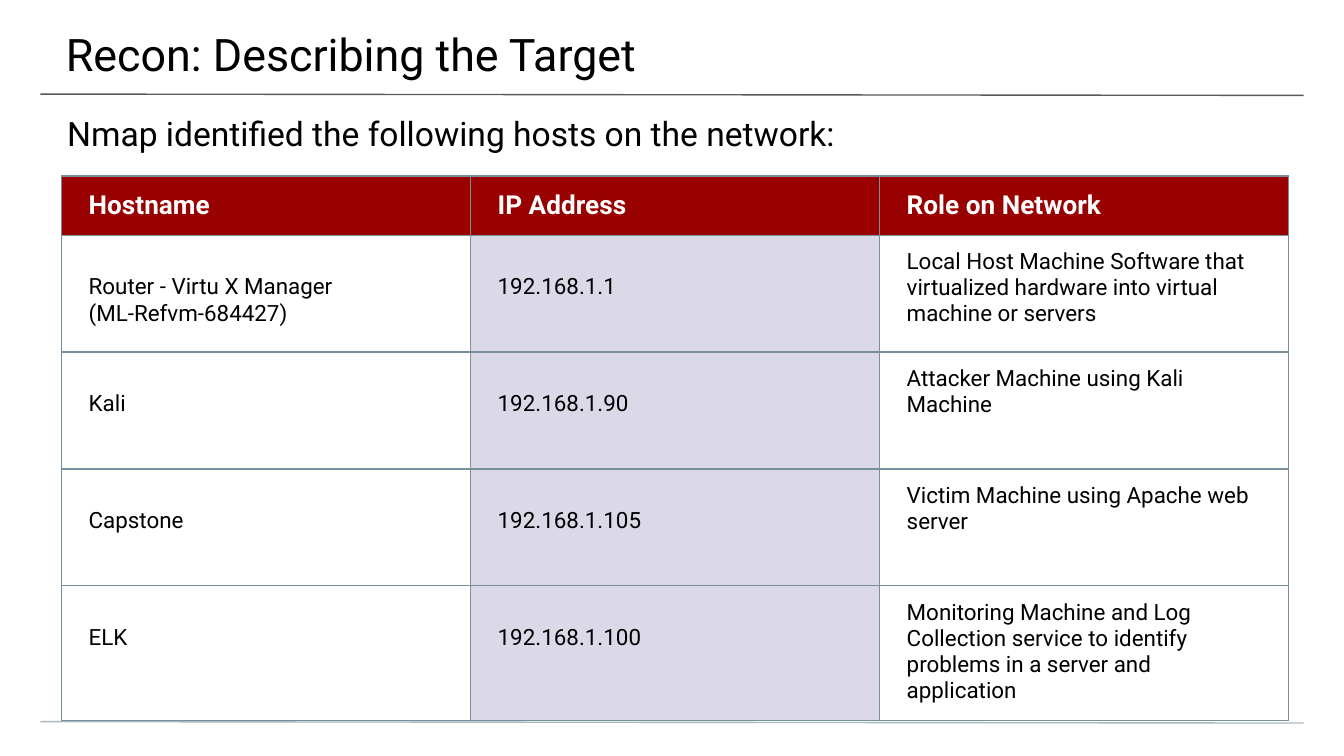
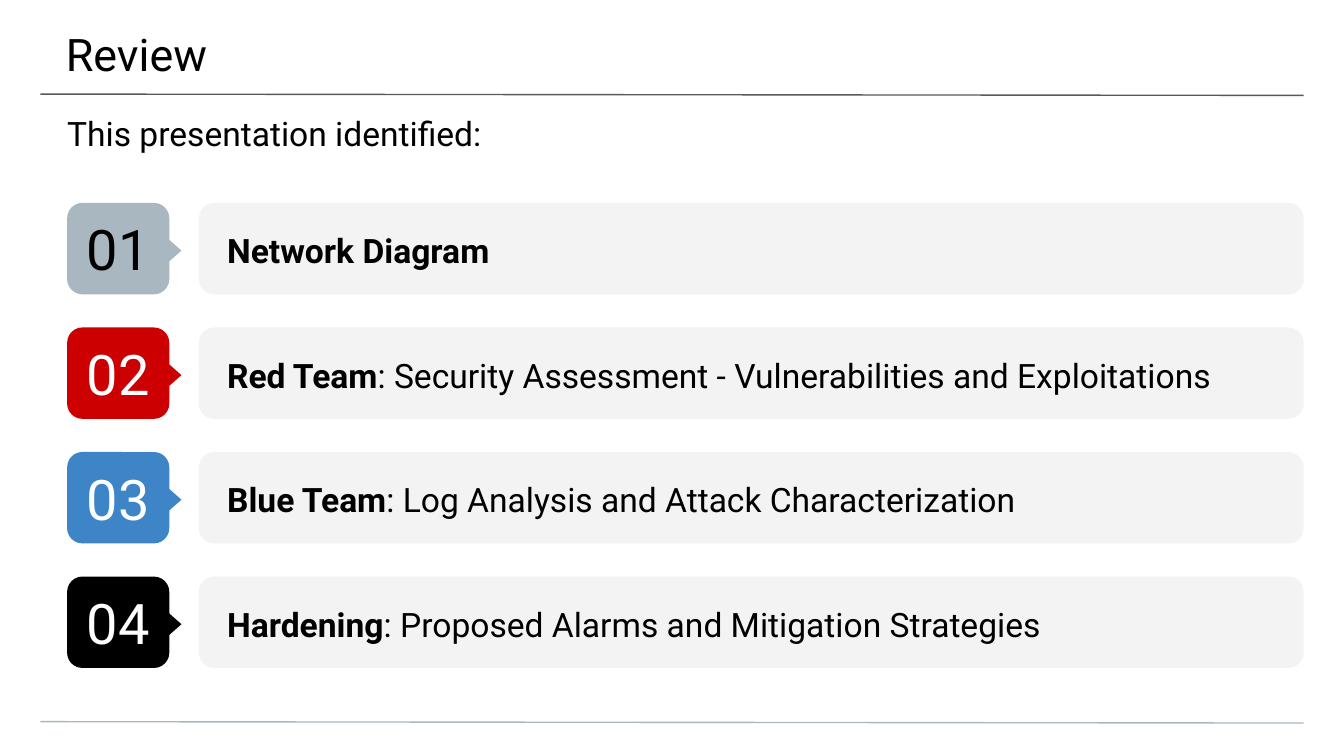
from lxml import etree
from pptx import Presentation
from pptx.dml.color import RGBColor
from pptx.enum.shapes import MSO_CONNECTOR, MSO_SHAPE
from pptx.enum.text import MSO_ANCHOR, MSO_AUTO_SIZE, PP_ALIGN
from pptx.oxml.ns import qn
from pptx.util import Inches, Pt

TOP, MIDDLE = MSO_ANCHOR.TOP, MSO_ANCHOR.MIDDLE
LEFT, CENTER = PP_ALIGN.LEFT, PP_ALIGN.CENTER
ROUNDED, POINTER = MSO_SHAPE.ROUNDED_RECTANGLE, MSO_SHAPE.FLOWCHART_EXTRACT

FONT = "Roboto"
BLACK, WHITE = "000000", "FFFFFF"
TITLE_RULE, STEEL = "595959", "A9B7C0"
HEADER_RED, IP_LILAC, GRID_LINE = "990000", "DBD9E8", "78909C"
BAR_GREY = "F3F3F3"
WIDTH = 10
HEIGHT = WIDTH * 9 / 16


def color(value):
    return RGBColor.from_string(value)


def write(frame, text, size, ink=BLACK, bold=False, insets=(0, 0, 0, 0),
          anchor=TOP, align=LEFT):
    """Fill a text frame or table cell; insets are left, top, right, bottom."""
    frame.margin_left, frame.margin_top, frame.margin_right, frame.margin_bottom = map(
        Inches, insets)
    frame.vertical_anchor = anchor
    body = getattr(frame, "text_frame", frame)
    body.word_wrap = True
    body.text = text
    for paragraph in body.paragraphs:
        paragraph.alignment = align
        paragraph.font.name, paragraph.font.size = FONT, Pt(size)
        paragraph.font.bold = bold
        paragraph.font.color.rgb = color(ink)
    return body


prs = Presentation()
prs.slide_width, prs.slide_height = Inches(WIDTH), Inches(HEIGHT)
title_only = prs.slide_layouts[5]

# Both slides: title, lead sentence and the two rules
slides = []
for heading, lead in [
    ("Recon: Describing the Target", "Nmap identified the following hosts on the network:"),
    ("Review", "This presentation identified:"),
]:
    slide = prs.slides.add_slide(title_only)
    slides.append(slide)
    for y, rule_color in [(0.7, TITLE_RULE), (5.37, STEEL)]:
        rule = slide.shapes.add_connector(MSO_CONNECTOR.STRAIGHT, Inches(0.3), Inches(y),
                                          Inches(WIDTH - 0.3), Inches(y + 0.01))
        rule.line.color.rgb, rule.line.width = color(rule_color), Pt(0.75)
        etree.SubElement(rule._element.spPr, qn("a:effectLst"))

    title = slide.shapes.title
    title.left, title.top = Inches(-0.01), 0
    title.width, title.height = Inches(10.03), Inches(0.58)
    title.text_frame.auto_size = MSO_AUTO_SIZE.NONE
    write(title.text_frame, heading, 24, insets=(0.5, 0.2, 0.3, 0.1))

    lead_box = slide.shapes.add_textbox(0, Inches(0.74), Inches(WIDTH), Inches(0.4))
    write(lead_box.text_frame, lead, 18, insets=(0.5, 0.1, 0.5, 0))

recon, review = slides

# Recon: host table
hosts = [
    ("Hostname", "IP Address", "Role on Network"),
    ("Router - Virtu X Manager\n(ML-Refvm-684427)", "192.168.1.1",
     "Local Host Machine Software that virtualized hardware into virtual machine or servers"),
    ("Kali", "192.168.1.90", "Attacker Machine using Kali Machine"),
    ("Capstone", "192.168.1.105", "Victim Machine using Apache web server"),
    ("ELK", "192.168.1.100",
     "Monitoring Machine and Log Collection service to identify problems in a server "
     "and application"),
]
TABLE_WIDTH, HEADER_ROW, HOST_ROW = 9.13, 0.44, 0.87
IP_COLUMN, ROLE_COLUMN = 1, 2
host_table = recon.shapes.add_table(
    len(hosts), 3, Inches(0.46), Inches(1.31), Inches(TABLE_WIDTH),
    Inches(HEADER_ROW + 4 * HOST_ROW)).table
host_table.horz_banding = False

for r, host in enumerate(hosts):
    is_header = r == 0
    host_table.rows[r].height = Inches(HEADER_ROW if is_header else HOST_ROW)
    for c, text in enumerate(host):
        cell = host_table.cell(r, c)
        if is_header:
            write(cell, text, 14, WHITE, True, (0.2, 0.1, 0.2, 0.1), MIDDLE)
        else:
            # Names and addresses start one line lower than the roles
            top = 0.1 if c == ROLE_COLUMN else 0.29
            write(cell, text, 12, insets=(0.2, top, 0.2, 0.1))
        if is_header or c == IP_COLUMN:
            cell.fill.solid()
            cell.fill.fore_color.rgb = color(HEADER_RED if is_header else IP_LILAC)
        else:
            cell.fill.background()
        properties = cell._tc.get_or_add_tcPr()
        for position, side in enumerate(("lnL", "lnR", "lnT", "lnB")):
            border = etree.Element(qn(f"a:{side}"), w=str(Pt(0.75)))
            solid = etree.SubElement(border, qn("a:solidFill"))
            etree.SubElement(solid, qn("a:srgbClr"), val=GRID_LINE)
            properties.insert(position, border)

# Review: numbered topics
topics = [
    ("Network Diagram", "", STEEL, BLACK),
    ("Red Team", ": Security Assessment - Vulnerabilities and Exploitations", "CC0000", WHITE),
    ("Blue Team", ": Log Analysis and Attack Characterization", "3D85C6", WHITE),
    ("Hardening", ": Proposed Alarms and Mitigation Strategies", BLACK, WHITE),
]
FIRST_ROW, LAST_ROW, ROW_HEIGHT = 1.51, 4.29, 0.68
row_pitch = (LAST_ROW - FIRST_ROW) / (len(topics) - 1)
for i, (topic, detail, badge_color, number_color) in enumerate(topics):
    y = FIRST_ROW + i * row_pitch
    badge_group = review.shapes.add_group_shape()
    parts = []
    for parent, preset, x, top, width, height, fill in [
        (review, ROUNDED, 1.48, y, 8.22, ROW_HEIGHT, BAR_GREY),
        (badge_group, ROUNDED, 0.5, y, 0.76, ROW_HEIGHT, badge_color),
        (badge_group, POINTER, 1.06, y + 0.25, 0.37, 0.21, badge_color),
    ]:
        part = parent.shapes.add_shape(preset, Inches(x), Inches(top),
                                       Inches(width), Inches(height))
        part.shadow.inherit = False
        part.fill.solid()
        part.fill.fore_color.rgb = color(fill)
        part.line.fill.background()
        parts.append(part)
    bar, badge, pointer = parts
    pointer.rotation = 90
    write(badge.text_frame, f"{i + 1:02}", 30, number_color,
          insets=(0.1, 0.1, 0.1, 0.1), anchor=MIDDLE, align=CENTER)

    label = review.shapes.add_textbox(Inches(-0.01), Inches(y), Inches(10.03), Inches(0.66))
    line = write(label.text_frame, topic, 18, insets=(1.7, 0, 0.5, 0),
                 anchor=MIDDLE).paragraphs[0]
    line.line_spacing = 1.15
    line.runs[0].font.bold = True
    if detail:
        line.add_run().text = detail

prs.save("out.pptx")
